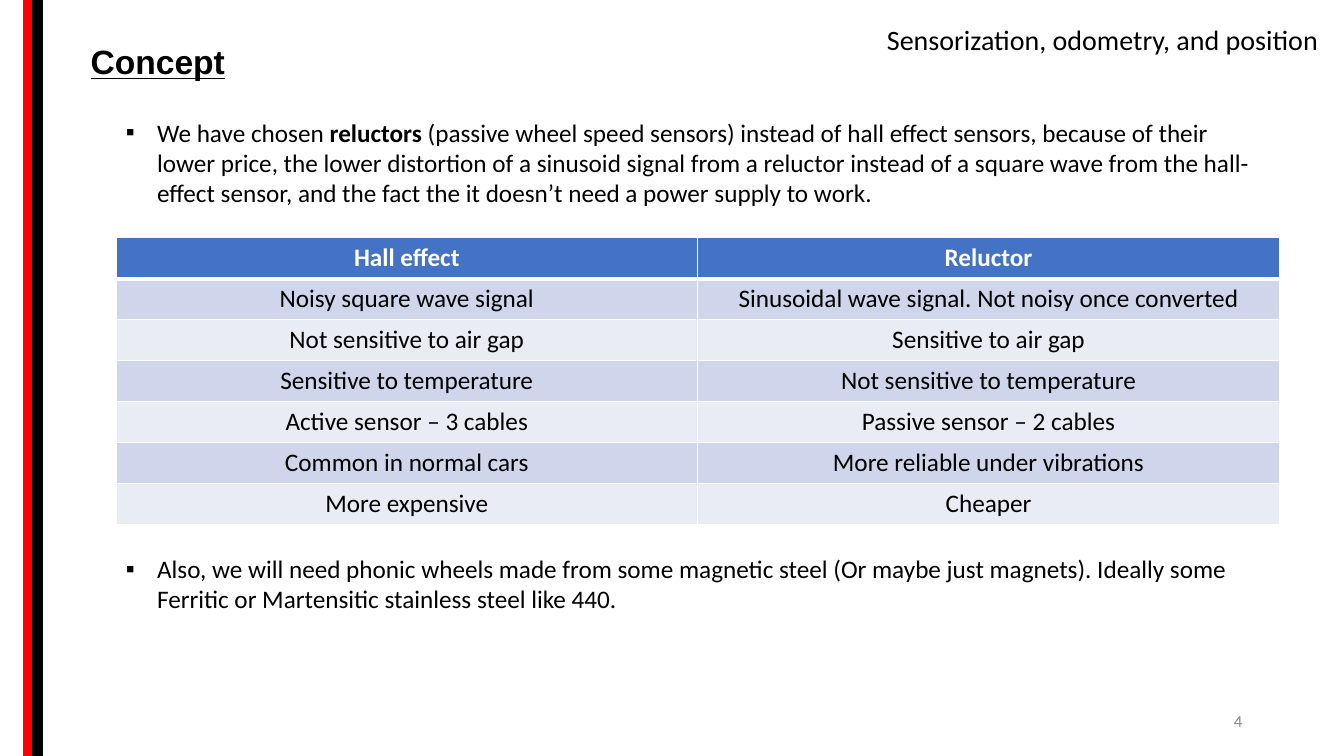
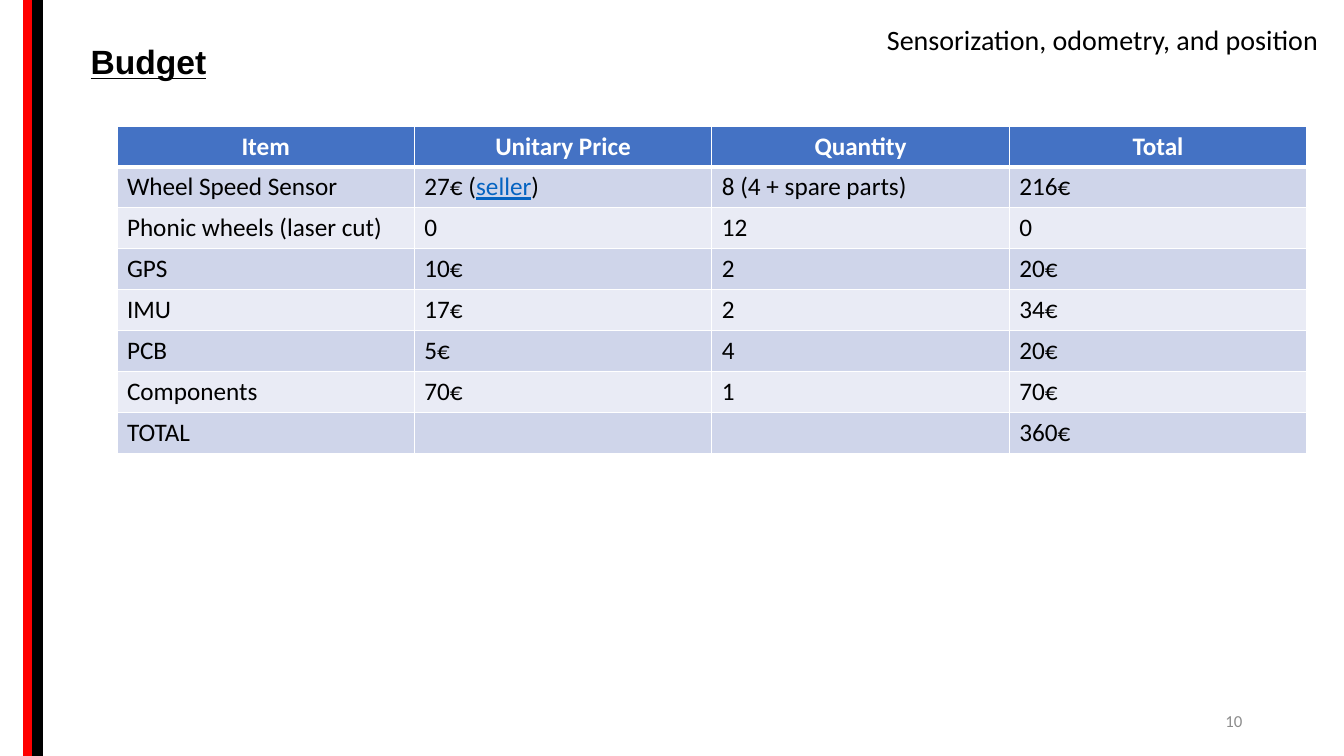
from pptx import Presentation
from pptx.dml.color import RGBColor
from pptx.enum.shapes import MSO_CONNECTOR
from pptx.enum.text import MSO_ANCHOR, PP_ALIGN
from pptx.oxml.ns import qn
from pptx.util import Inches, Pt
from lxml.etree import SubElement

WIDE, HIGH = 13.33, 7.5
BLACK, WHITE, RED, GREY = "000000", "FFFFFF", "FF0000", "8C8C8C"
BLUE, LINK = "4472C4", "0563C1"
BANDS = ["CFD5EA", "E9EBF5"]
BODY, HEAD = "Calibri", "Arial"
ROW = 0.406
TOPIC = "Sensorization, odometry, and position"

SENSORS = [
    ["Hall effect", "Reluctor"],
    ["Noisy square wave signal", "Sinusoidal wave signal. Not noisy once converted"],
    ["Not sensitive to air gap", "Sensitive to air gap"],
    ["Sensitive to temperature", "Not sensitive to temperature"],
    ["Active sensor – 3 cables", "Passive sensor – 2 cables"],
    ["Common in normal cars", "More reliable under vibrations"],
    ["More expensive", "Cheaper"],
]
COSTS = [
    ["Item", "Unitary Price", "Quantity", "Total"],
    ["Wheel Speed Sensor", "27€ (|seller|)", "8 (4 + spare parts)", "216€"],
    ["Phonic wheels (laser cut)", "0", "12", "0"],
    ["GPS", "10€", "2", "20€"],
    ["IMU", "17€", "2", "34€"],
    ["PCB", "5€", "4", "20€"],
    ["Components", "70€", "1", "70€"],
    ["TOTAL", "", "", "360€"],
]
CHOICE = (
    "We have chosen |reluctors| (passive wheel speed sensors) instead of hall "
    "effect sensors, because of their lower price, the lower distortion of a "
    "sinusoid signal from a reluctor instead of a square wave from the "
    "hall-effect sensor, and the fact the it doesn’t need a power supply to work."
)
WHEELS = (
    "Also, we will need phonic wheels made from some magnetic steel (Or maybe "
    "just magnets). Ideally some Ferritic or Martensitic stainless steel like 440."
)


def paint(color, code):
    color.rgb = RGBColor.from_string(code)


def style(run, size=18, code=BLACK, face=BODY, bold=False, under=False):
    font = run.font
    font.size, font.name = Pt(size), face
    font.bold, font.underline = bold, under
    paint(font.color, code)


def write(par, text, mark=None, **look):
    first, *rest = text.split("|")
    par.text = first
    for part in rest:
        par.add_run().text = part
    for n, run in enumerate(par.runs):
        style(run, **{**look, **((mark or {}) if n % 2 else {})})


def label(slide, box, text, align=PP_ALIGN.LEFT, anchor=MSO_ANCHOR.TOP, **look):
    frame = slide.shapes.add_textbox(*map(Inches, box)).text_frame
    frame.word_wrap = True
    frame.vertical_anchor = anchor
    par = frame.paragraphs[0]
    par.alignment = align
    write(par, text, **look)
    return par


def bullet(slide, box, text):
    par = label(slide, box, text, mark={"bold": True})
    props = par._p.get_or_add_pPr()
    props.set("marL", str(Inches(0.31)))
    props.set("indent", str(-Inches(0.31)))
    SubElement(props, qn("a:buFont"), typeface=HEAD)
    SubElement(props, qn("a:buChar"), char="▪")


def stripe(slide, x, code):
    ends = map(Inches, (x, 0, x, HIGH))
    line = slide.shapes.add_connector(MSO_CONNECTOR.STRAIGHT, *ends)
    line.line.width = Pt(8)
    paint(line.line.color, code)
    SubElement(line._element.spPr, qn("a:effectLst"))


def border(cell, side, width):
    edge = SubElement(cell._tc.get_or_add_tcPr(), qn("a:ln" + side), w=str(Pt(width)))
    fill = SubElement(edge, qn("a:solidFill"))
    SubElement(fill, qn("a:srgbClr"), val=WHITE)


def fill_cell(cell, text, row, align):
    head = row == 0
    thick = {"B": 3} if head else {"T": 3} if row == 1 else {}
    for side in "LRTB":
        border(cell, side, thick.get(side, 1))
    cell.fill.solid()
    paint(cell.fill.fore_color, BLUE if head else BANDS[(row - 1) % 2])
    par = cell.text_frame.paragraphs[0]
    par.alignment = PP_ALIGN.CENTER if head else align
    write(par, text, mark={"code": LINK, "under": True},
          code=WHITE if head else BLACK, bold=head)


def grid(slide, x, y, width, data, align):
    count = len(data[0])
    box = map(Inches, (x, y, width, ROW * len(data)))
    table = slide.shapes.add_table(len(data), count, *box).table
    for col in table.columns:
        col.width = Inches(width / count)
    for r, line in enumerate(data):
        table.rows[r].height = Inches(ROW)
        for c, text in enumerate(line):
            fill_cell(table.cell(r, c), text, r, align)


def base(deck, title, page):
    slide = deck.slides.add_slide(deck.slide_layouts[6])
    stripe(slide, 0.28, RED)
    stripe(slide, 0.37, BLACK)
    label(slide, (0.8, 0.36, 3.1, 0.5), title,
          size=24, face=HEAD, bold=True, under=True)
    label(slide, (8.54, 0.17, 4.79, 0.44), TOPIC, PP_ALIGN.CENTER, size=20)
    label(slide, (9.42, 6.95, 3, 0.4), str(page), PP_ALIGN.RIGHT,
          MSO_ANCHOR.MIDDLE, size=12, code=GREY)
    return slide


def concept(deck):
    slide = base(deck, "Concept", 4)
    left, width = 1.15, 11.54
    bullet(slide, (left, 1.11, width, 1.01), CHOICE)
    grid(slide, left, 2.36, width, SENSORS, PP_ALIGN.CENTER)
    bullet(slide, (left, 5.44, width, 0.71), WHEELS)


def budget(deck):
    slide = base(deck, "Budget", 10)
    grid(slide, 1.16, 1.25, 11.8, COSTS, PP_ALIGN.LEFT)


def main():
    deck = Presentation()
    deck.slide_width, deck.slide_height = Inches(WIDE), Inches(HIGH)
    concept(deck)
    budget(deck)
    deck.save("out.pptx")


if __name__ == "__main__":
    main()
